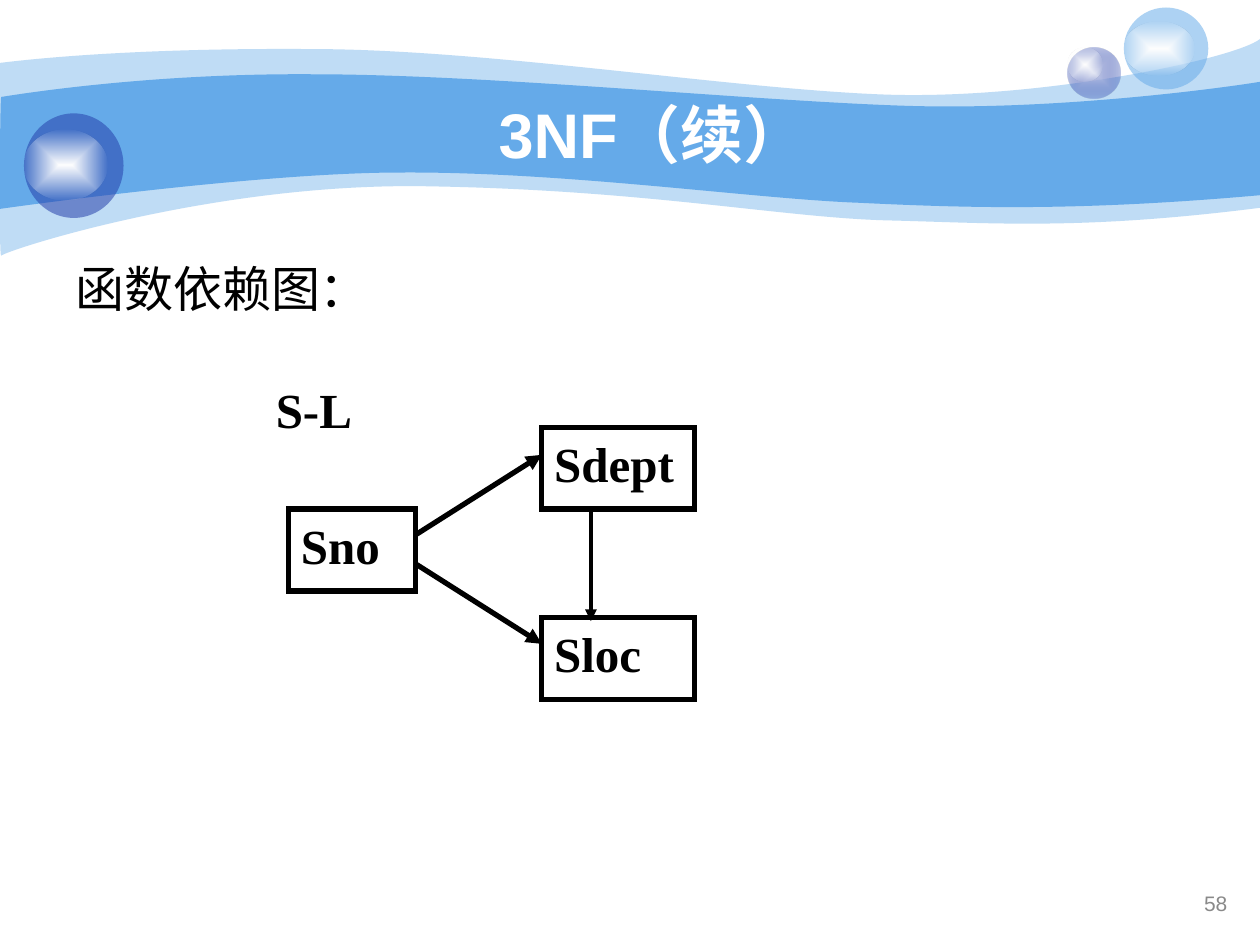
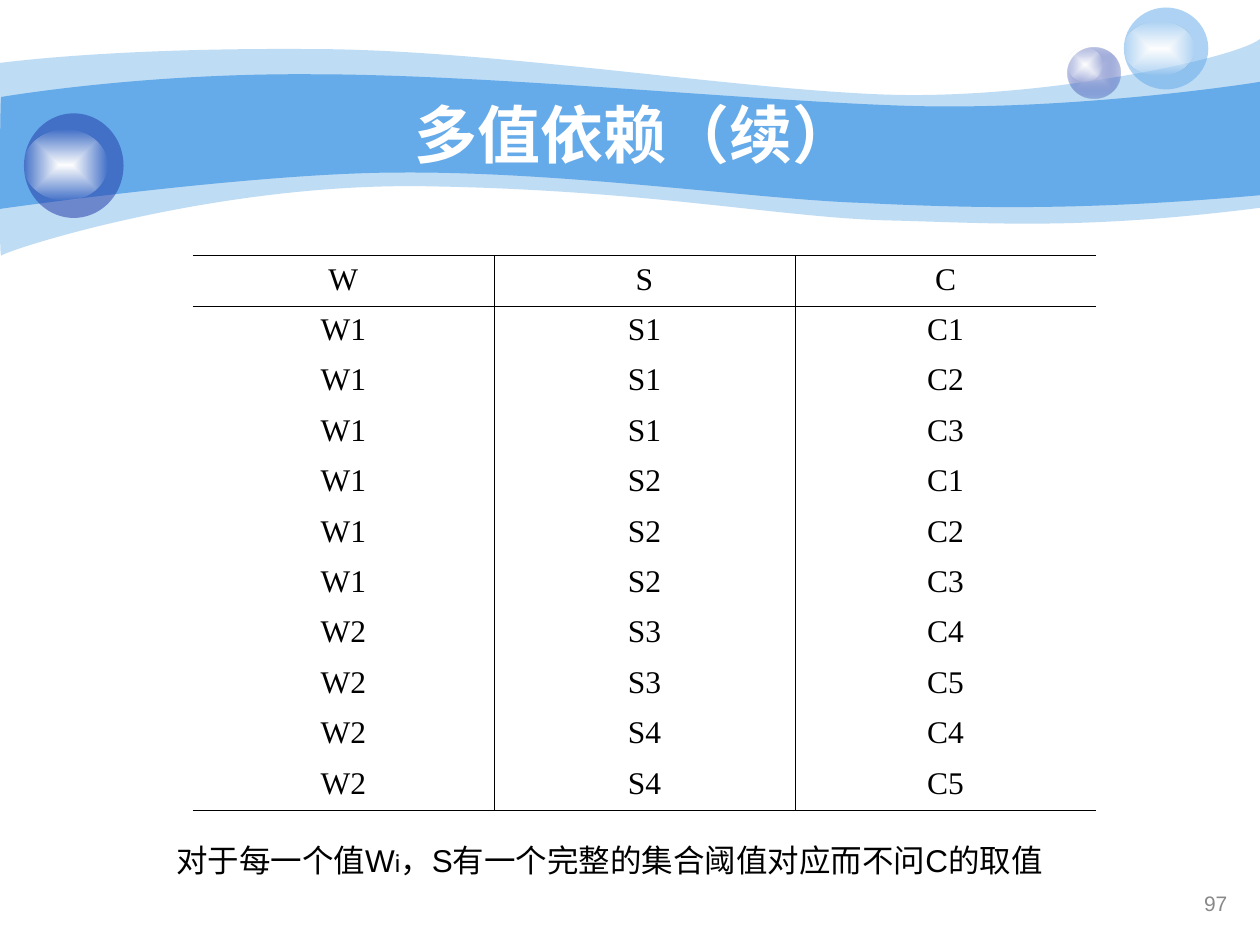
from itertools import product

from pptx import Presentation
from pptx import util as u
from pptx.dml.color import RGBColor
from pptx.enum import shapes, text
from pptx.oxml import parse_xml
from pptx.oxml.ns import nsdecls, qn
from pptx.oxml.xmlchemy import OxmlElement

SKY, NAVY, LILAC = "65AAE9", "233DA9", "C7CEE9"
WHITE, BLACK, GREY = "FFFFFF", "000000", "898989"
SANS, SERIF = "Arial", "Times New Roman"
GLOW = [(WHITE, 100), (WHITE, 0)]

# Each wave starts at a point; six numbers make a curve, two a straight line.
PALE_WAVE = (0, 0.5), [
    (0.24, 0.47, 1.07, 0.38, 2.47, 0.39), (3.86, 0.39, 5.75, 0.7, 6.99, 0.75),
    (8.22, 0.8, 9.8, 0.47, 10, 0.31), (10, 1.65),
    (8.58, 1.83, 7.87, 1.77, 7.05, 1.75), (6.22, 1.73, 5.15, 1.51, 3.43, 1.48),
    (1.72, 1.44, 0.04, 1.99, 0.01, 2.03), (-0.01, 2.08, 0, 0.75, 0, 0.5)]
STRONG_WAVE = (0.01, 0.77), [
    (0.02, 0.77, 1.1, 0.58, 2.48, 0.59), (3.86, 0.59, 5.95, 0.8, 7.18, 0.84),
    (8.41, 0.88, 9.76, 0.69, 10, 0.65), (10, 1.55),
    (8.53, 1.68, 7.65, 1.65, 6.82, 1.61), (5.99, 1.58, 4.47, 1.36, 3.17, 1.37),
    (2.03, 1.37, -0.02, 1.66, -0.01, 1.66), (0, 1.66, 0, 0.77, 0.01, 0.77)]


def color(hex_code):
    return RGBColor.from_string(hex_code)


def inches(*lengths):
    return [u.Inches(length) for length in lengths]


def fill_solid(shape, hex_code, opacity=100):
    shape.fill.solid()
    shape.fill.fore_color.rgb = color(hex_code)
    if opacity < 100:
        alpha = OxmlElement("a:alpha")
        alpha.set("val", str(opacity * 1000))
        shape._element.spPr.find(".//" + qn("a:srgbClr")).append(alpha)


def fill_from_centre(shape, stops):
    """Gradient from the centre outwards; stops are (colour, opacity) pairs."""
    (inner, inner_opacity), (outer, outer_opacity) = stops
    shape._element.spPr.append(parse_xml(
        f'<a:gradFill {nsdecls("a")}><a:gsLst>'
        f'<a:gs pos="0"><a:srgbClr val="{inner}">'
        f'<a:alpha val="{inner_opacity * 1000}"/></a:srgbClr></a:gs>'
        f'<a:gs pos="100000"><a:srgbClr val="{outer}">'
        f'<a:alpha val="{outer_opacity * 1000}"/></a:srgbClr></a:gs></a:gsLst>'
        '<a:path path="rect"><a:fillToRect l="50000" t="50000" r="50000" b="50000"/>'
        '</a:path></a:gradFill>'))


def remove_outline(shape):
    shape.line.fill.background()
    shape.shadow.inherit = False


def bend_segments(shape, segments):
    """Join each three lines that stand for a curve into one Bezier segment."""
    lines = iter(list(shape._element.spPr.iter(qn("a:lnTo"))))
    for segment in segments:
        parts = [next(lines) for _ in range(len(segment) // 2)]
        if len(parts) == 3:
            curve = OxmlElement("a:cubicBezTo")
            parts[0].addprevious(curve)
            for line in parts:
                curve.append(line[0])
                line.getparent().remove(line)


def add_wave(slide, wave, opacity=100):
    start, segments = wave
    numbers = [value for segment in segments for value in segment]
    points = [(u.Inches(x), u.Inches(y)) for x, y in zip(numbers[::2], numbers[1::2])]
    builder = slide.shapes.build_freeform(*inches(*start))
    builder.add_line_segments(points, close=True)
    shape = builder.convert_to_shape()
    bend_segments(shape, segments)
    fill_solid(shape, SKY, opacity)
    remove_outline(shape)


def add_ellipse(slide, box):
    return slide.shapes.add_shape(shapes.MSO_SHAPE.OVAL, *inches(*box))


def add_bubble(slide, box, glow_box, fill, *fill_values):
    ball = add_ellipse(slide, box)
    fill(ball, *fill_values)
    glow = add_ellipse(slide, glow_box)
    fill_from_centre(glow, GLOW)
    for shape in (ball, glow):
        remove_outline(shape)


def decorate_layout(layout, slide):
    """Draw the waves and bubbles on the slide, then move them to its layout."""
    first_new = len(slide.shapes)
    add_wave(slide, PALE_WAVE, 41)
    add_wave(slide, STRONG_WAVE)
    add_bubble(slide, (8.47, 0.38, 0.42, 0.4), (8.47, 0.38, 0.28, 0.27),
               fill_from_centre, [(LILAC, 100), (NAVY, 31)])
    add_bubble(slide, (8.92, 0.06, 0.67, 0.65), (8.92, 0.17, 0.56, 0.43),
               fill_solid, SKY, 53)
    add_bubble(slide, (0.19, 0.9, 0.79, 0.83), (0.19, 1.03, 0.66, 0.56),
               fill_solid, NAVY, 53)
    for position, shape in enumerate(list(slide.shapes)[first_new:], start=2):
        layout.shapes._spTree.insert(position, shape._element)


def style_paragraph(paragraph, size, font=SERIF, hex_code=BLACK, bold=False,
                    align=text.PP_ALIGN.LEFT):
    paragraph.alignment = align
    paragraph.font.size = u.Pt(size)
    paragraph.font.name = font
    paragraph.font.bold = bold
    paragraph.font.color.rgb = color(hex_code)


def set_title(slide, words, left_inset=0.1):
    title = slide.shapes.title
    title.left, title.top, title.width, title.height = inches(1, 0.75, 8.08, 0.62)
    frame = title.text_frame
    frame.text = words
    frame.auto_size = text.MSO_AUTO_SIZE.NONE
    frame.vertical_anchor = text.MSO_ANCHOR.MIDDLE
    frame.margin_left = u.Inches(left_inset)
    style_paragraph(frame.paragraphs[0], 36, SANS, WHITE, True, text.PP_ALIGN.CENTER)


def add_text(slide, box, words, size, **style):
    frame = slide.shapes.add_textbox(*inches(*box)).text_frame
    frame.word_wrap = True
    paragraph = frame.paragraphs[0]
    paragraph.text = words
    style_paragraph(paragraph, size, **style)
    return frame


def add_page_number(slide, number):
    frame = add_text(slide, (7.51, 6.98, 2.33, 0.4), str(number), 12, font=SANS,
                     hex_code=GREY, align=text.PP_ALIGN.RIGHT)
    frame.vertical_anchor = text.MSO_ANCHOR.MIDDLE
    frame.paragraphs[0].line_spacing = 0.9


def add_attribute(slide, box, name):
    shape = slide.shapes.add_shape(shapes.MSO_SHAPE.RECTANGLE, *inches(*box))
    shape.shadow.inherit = False
    shape.fill.background()
    shape.line.color.rgb = color(BLACK)
    shape.line.width = u.Pt(3)
    corner = OxmlElement("a:miter")
    corner.set("lim", "800000")
    shape.line._get_or_add_ln().append(corner)
    shape.text_frame.text = name
    shape.text_frame.vertical_anchor = text.MSO_ANCHOR.TOP
    style_paragraph(shape.text_frame.paragraphs[0], 28, bold=True)


def add_arrow(slide, start, end, width=3):
    arrow = slide.shapes.add_connector(
        shapes.MSO_CONNECTOR.STRAIGHT, *inches(*start, *end))
    arrow.line.color.rgb = color(BLACK)
    arrow.line.width = u.Pt(width)
    head = OxmlElement("a:tailEnd")
    head.set("type", "triangle")
    arrow.line._get_or_add_ln().append(head)
    arrow._element.spPr.append(OxmlElement("a:effectLst"))


def set_borders(cell, **sides):
    """Rule the sides (L, R, T, B) that are true and clear the others."""
    for side, ruled in sides.items():
        paint = f'<a:solidFill><a:srgbClr val="{BLACK}"/></a:solidFill>'
        cell._tc.get_or_add_tcPr().append(parse_xml(
            f'<a:ln{side} {nsdecls("a")} w="{u.Pt(0.45)}">'
            f'{paint if ruled else "<a:noFill/>"}</a:ln{side}>'))


def add_ruled_table(slide, box, rows):
    last_row, last_column = len(rows) - 1, len(rows[0]) - 1
    table = slide.shapes.add_table(len(rows), len(rows[0]), *inches(*box)).table
    table.first_row = table.horz_banding = False
    for row, values in enumerate(rows):
        for column, value in enumerate(values):
            cell = table.cell(row, column)
            cell.text = value
            set_borders(cell, L=column > 0, R=column < last_column,
                        T=row <= 1, B=row in (0, last_row))
            cell.fill.background()
            style_paragraph(cell.text_frame.paragraphs[0], 18,
                            align=text.PP_ALIGN.CENTER)


def build_dependency_diagram(slide):
    set_title(slide, "3NF（续）", left_inset=0.38)
    add_text(slide, (0.5, 2, 9, 4.92), "函数依赖图：", 28, font=SANS)
    add_text(slide, (2.09, 2.96, 1.21, 0.65), "S-L", 28, bold=True)
    add_attribute(slide, (2.29, 4.04, 1.01, 0.65), "Sno")
    add_attribute(slide, (4.3, 3.39, 1.21, 0.65), "Sdept")
    add_attribute(slide, (4.3, 4.9, 1.21, 0.65), "Sloc")
    add_arrow(slide, (3.29, 4.25), (4.3, 3.61))
    add_arrow(slide, (3.29, 4.47), (4.3, 5.11))
    add_arrow(slide, (4.69, 4.06), (4.69, 4.93), 2.25)
    add_page_number(slide, 58)


def build_multivalued_table(slide):
    set_title(slide, "多值依赖（续）")
    rows = [("W", "S", "C"),
            *product(["W1"], ["S1", "S2"], ["C1", "C2", "C3"]),
            *product(["W2"], ["S3", "S4"], ["C4", "C5"])]
    add_ruled_table(slide, (1.53, 2.03, 7.17, 4.4), rows)
    add_page_number(slide, 97)
    caption = add_text(slide, (1.3, 6.66, 8.03, 0.37), "对于每一个值W", 18, font=SANS)
    paragraph = caption.paragraphs[0]
    paragraph.line_spacing = 0.9
    subscript = paragraph.add_run()
    subscript.text = "i"
    subscript.font.size = u.Pt(14)
    paragraph.add_run().text = "，S有一个完整的集合阈值对应而不问C的取值"


def main():
    presentation = Presentation()
    presentation.slide_width, presentation.slide_height = inches(10, 7.5)
    title_only = presentation.slide_layouts[5]
    diagram_slide = presentation.slides.add_slide(title_only)
    decorate_layout(title_only, diagram_slide)
    build_dependency_diagram(diagram_slide)
    build_multivalued_table(presentation.slides.add_slide(title_only))
    presentation.save("out.pptx")


if __name__ == "__main__":
    main()
